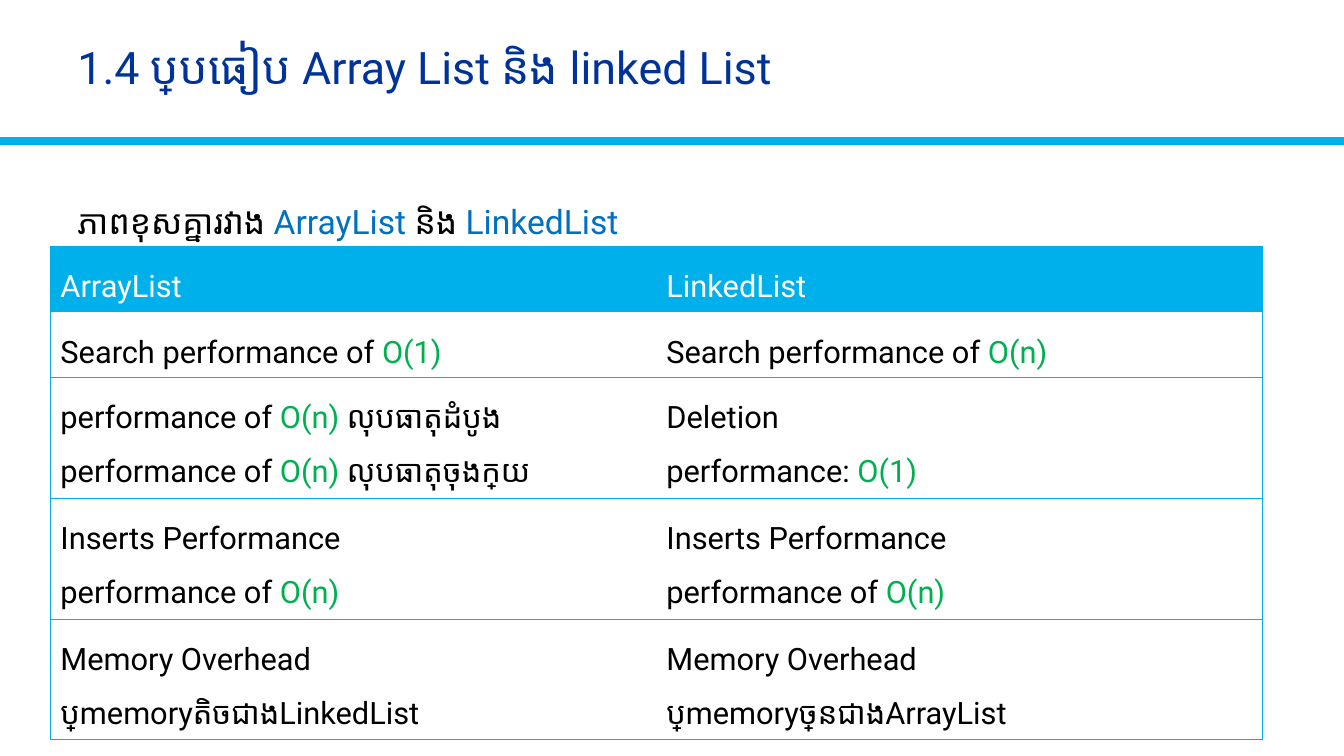
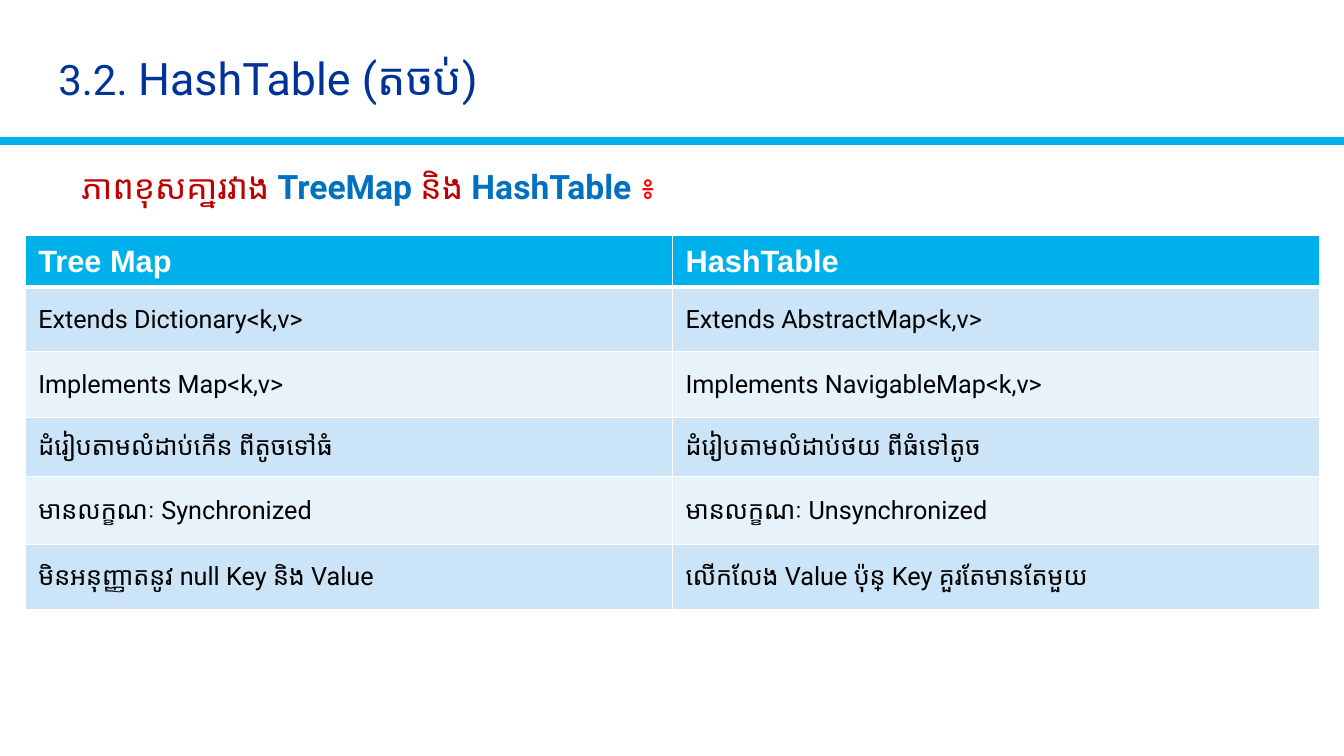
from dataclasses import dataclass

from lxml import etree
from pptx import Presentation
from pptx.dml.color import RGBColor
from pptx.enum import shapes, text
from pptx.oxml import ns
from pptx.util import Inches, Pt


@dataclass(frozen=True)
class Theme:
    font: str = "Roboto"
    head: str = "Arial"
    navy: str = "003399"
    sky: str = "00B0EA"
    blue: str = "0070C0"
    green: str = "00B050"
    wine: str = "C00000"
    red: str = "FF0000"
    black: str = "000000"
    white: str = "FFFFFF"
    bands: tuple = ("CCE4F7", "E7F2FB")
    title: int = 32
    number: int = 30
    lead: int = 24
    large: int = 22
    cell: int = 18


T = Theme()


def rgb(tone):
    return RGBColor.from_string(tone)


def write(para, words, size, tone, accent=None, face=T.font, bold=False, strong=False):
    font = para.font
    font.name, font.size, font.bold = face, Pt(size), bold
    font.color.rgb = rgb(tone)
    props = para._p.get_or_add_pPr().get_or_add_defRPr()
    etree.SubElement(props, ns.qn("a:cs"), typeface=face)
    for i, word in enumerate(words.split("|")):
        run = para.add_run()
        run.text = word
        if i % 2 and accent:
            run.font.color.rgb = rgb(accent)
            if strong:
                run.font.bold = True
    return para.runs


def add_box(slide, area, words, size, tone, accent=None, strong=False, middle=False):
    frame = slide.shapes.add_textbox(*map(Inches, area)).text_frame
    frame.word_wrap = True
    para = frame.paragraphs[0]
    if middle:
        frame.vertical_anchor = text.MSO_ANCHOR.MIDDLE
        para.line_spacing = 0.9
    return write(para, words, size, tone, accent, strong=strong)


def add_page(deck, area, title):
    slide = deck.slides.add_slide(deck.slide_layouts[6])
    rule = slide.shapes.add_connector(
        shapes.MSO_CONNECTOR.STRAIGHT, 0, Inches(1.4), deck.slide_width, Inches(1.4))
    rule.line.color.rgb = rgb(T.sky)
    rule.line.width = Pt(6)
    etree.SubElement(rule._element.spPr, ns.qn("a:effectLst"))
    return slide, add_box(slide, area, title, T.title, T.navy, middle=True)


def add_grid(slide, left, top, width, heights):
    frame = slide.shapes.add_table(
        len(heights), 2, Inches(left), Inches(top), Inches(width), Inches(sum(heights)))
    grid = frame.table
    grid.first_row = grid.horz_banding = False
    for col in grid.columns:
        col.width = Inches(width / 2)
    for row, height in zip(grid.rows, heights):
        row.height = Inches(height)
    return grid


def edge(cell, **sides):
    props = cell._tc.get_or_add_tcPr()
    for side in "LRTB":
        tone, width = sides[side]
        line = etree.SubElement(props, ns.qn(f"a:ln{side}"), w=str(Pt(width)))
        if tone:
            fill = etree.SubElement(line, ns.qn("a:solidFill"))
            etree.SubElement(fill, ns.qn("a:srgbClr"), val=tone)
        else:
            etree.SubElement(line, ns.qn("a:noFill"))


def paint(cell, tone):
    cell.fill.solid()
    cell.fill.fore_color.rgb = rgb(tone)


def fill_lined(grid, rows):
    rim, none = (T.sky, 0.5), (None, 0.5)
    for r, row in enumerate(rows):
        for c, words in enumerate(row):
            cell = grid.cell(r, c)
            edge(cell, L=none if c else rim, R=rim if c else none, T=rim, B=rim)
            if r:
                cell.fill.background()
            else:
                paint(cell, T.sky)
            frame = cell.text_frame
            for i, line in enumerate(words.split("\n")):
                para = frame.add_paragraph() if i else frame.paragraphs[0]
                para.line_spacing = 1.5
                write(para, line, T.large, T.black if r else T.white, T.green)


def fill_banded(grid, rows):
    thin, thick = (T.white, 1), (T.white, 3)
    for r, row in enumerate(rows):
        for c, words in enumerate(row):
            cell = grid.cell(r, c)
            edge(cell, L=thin, R=thin, T=thick if r == 1 else thin, B=thin if r else thick)
            paint(cell, T.bands[(r - 1) % 2] if r else T.sky)
            cell.vertical_anchor = text.MSO_ANCHOR.MIDDLE
            cell.margin_left = cell.margin_right = Inches(0.13)
            cell.margin_top = cell.margin_bottom = Inches(0.06)
            para = cell.text_frame.paragraphs[0]
            if r:
                write(para, words, T.cell, T.black)
            else:
                write(para, words, T.large, T.white, face=T.head, bold=True)


def add_lists(deck):
    slide, _ = add_page(deck, (0.67, 0.14, 12.02, 1.11),
                        "1.4 ប្រៀបធៀប Array List និង linked List")
    add_box(slide, (0.67, 1.94, 12.05, 4.72),
            "ភាពខុសគ្នារវាង |ArrayList |និង |LinkedList", T.lead, T.black, T.blue)
    grid = add_grid(slide, 0.5, 2.44, 12.02, [0.64] * 2 + [1.17] * 3)
    insert = "Inserts Performance\nperformance of |O(n)"
    fill_lined(grid, [
        ("ArrayList", "LinkedList"),
        ("Search performance of |O(1)", "Search performance of |O(n)"),
        ("performance of |O(n) |លុបធាតុដំបូង\nperformance of |O(n) |លុបធាតុចុងក្រោយ",
         "Deletion\nperformance: |O(1)"),
        (insert, insert),
        ("Memory Overhead\nប្រើំmemoryតិចជាងLinkedList",
         "Memory Overhead\nប្រើំmemoryច្រើនជាងArrayList"),
    ])


def add_maps(deck):
    slide, runs = add_page(deck, (0.48, 0.39, 10.31, 0.83), "3.2. |HashTable (តចប់)")
    runs[0].font.size = Pt(T.number)
    runs = add_box(slide, (0.71, 1.6, 12.35, 5.9),
                   "ភាពខុសគា្នរវាង |TreeMap |និង |HashTable |៖",
                   T.lead, T.wine, T.blue, strong=True)
    runs[-1].font.color.rgb = rgb(T.red)
    grid = add_grid(slide, 0.25, 2.34, 12.84, [0.51, 0.64, 0.65, 0.59, 0.67, 0.65])
    fill_banded(grid, [
        ("Tree Map", "HashTable"),
        ("Extends Dictionary<k,v>", "Extends AbstractMap<k,v>"),
        ("Implements Map<k,v>", "Implements NavigableMap<k,v>"),
        ("ដំរៀបតាមលំដាប់កើន ពីតូចទៅធំ", "ដំរៀបតាមលំដាប់ថយ ពីធំទៅតូច"),
        ("មានលក្ខណៈ Synchronized", "មានលក្ខណៈ Unsynchronized"),
        ("មិនអនុញ្ញាតនូវ null Key និង Value", "លើកលែង Value ប៉ុន្តែ Key គួរតែមានតែមួយ"),
    ])


def main():
    deck = Presentation()
    deck.slide_width, deck.slide_height = Inches(13.33), Inches(7.5)
    add_lists(deck)
    add_maps(deck)
    deck.save("out.pptx")


if __name__ == "__main__":
    main()
